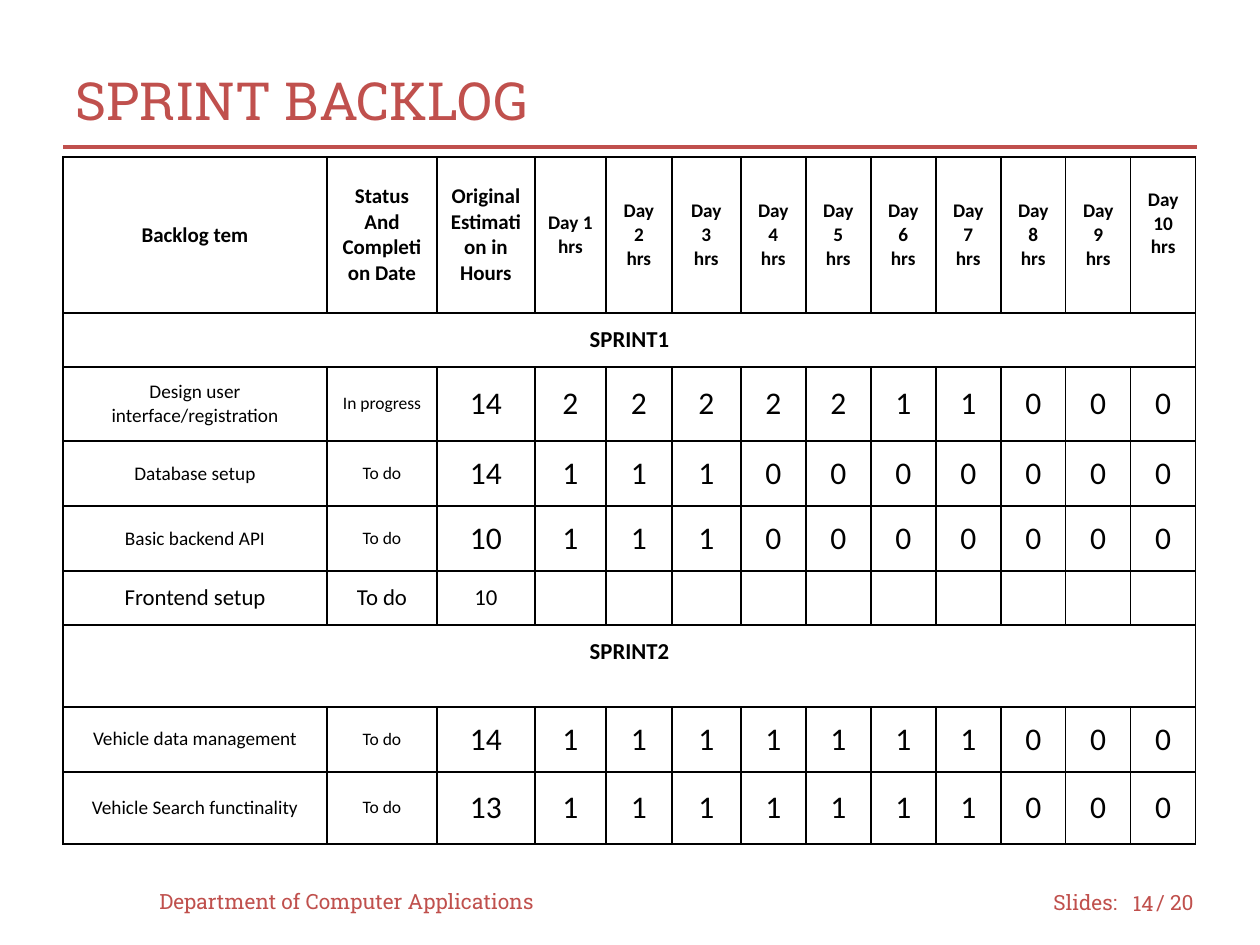
"""Build the sprint backlog slide."""
from dataclasses import dataclass

from lxml import etree
from pptx import Presentation
from pptx.dml.color import RGBColor
from pptx.enum.dml import MSO_LINE
from pptx.enum.shapes import MSO_CONNECTOR
from pptx.enum.text import MSO_ANCHOR, PP_ALIGN
from pptx.oxml.ns import qn
from pptx.slide import Slide
from pptx.table import _Cell
from pptx.text.text import TextFrame
from pptx.util import Emu, Pt

DASH = MSO_LINE.DASH
STRAIGHT = MSO_CONNECTOR.STRAIGHT
MIDDLE = MSO_ANCHOR.MIDDLE
LEFT, CENTER, RIGHT = PP_ALIGN.LEFT, PP_ALIGN.CENTER, PP_ALIGN.RIGHT

RED = RGBColor(0xC0, 0x50, 0x4D)
BLACK = RGBColor(0, 0, 0)
WHITE = RGBColor(0xFF, 0xFF, 0xFF)
HEADING_FONT, TABLE_FONT = "Roboto Slab", "Calibri"
EMU_PER_PX = 914400 / 126
CELL_MARGIN = 13

COLUMN_WIDTHS = [264, 110, 98, 71, 66, 69] + [65] * 7
DAY_COUNT = 10
SPLIT_DAYS = (3, 4, 5)


@dataclass(frozen=True)
class Style:
    """Size, weight, colour, font and alignment of a text."""

    size: int
    bold: bool = False
    color: RGBColor = BLACK
    font: str = TABLE_FONT
    align: PP_ALIGN = CENTER


@dataclass(frozen=True)
class Label:
    """A footer text and its place."""

    text: str
    left: int
    top: int
    width: int
    align: PP_ALIGN = LEFT


@dataclass(frozen=True)
class Sprint:
    """A full-width sprint heading row."""

    name: str
    height: int
    bottom_margin: int = CELL_MARGIN


@dataclass(frozen=True)
class Task:
    """A backlog item; sizes are for item, status and numbers."""

    item: str
    status: str
    estimate: int
    hours: str
    height: int
    sizes: tuple[int, int, int] = (11, 10, 18)


LABELS = [
    Label("Slides:", 1041, 877, 94),
    Label("/ 20", 1144, 877, 73),
    Label("Department of Computer Applications", 147, 876, 420),
    Label("14", 1113, 878, 53, RIGHT),
]
HEADER_HEIGHT = 156
HEADERS = ["Backlog tem", "Status And Completion Date", "Original Estimation in Hours"]
ROWS = [
    Sprint("SPRINT1", 54),
    Task("Design user interface/registration", "In progress", 14, "2222211000", 74),
    Task("Database setup", "To do", 14, "1110000000", 65),
    Task("Basic backend API", "To do", 10, "1110000000", 65),
    Task("Frontend setup", "To do", 10, "", 54, (13, 13, 13)),
    Sprint("SPRINT2", 82, 41),
    Task("Vehicle data management", "To do", 14, "1111111000", 65),
    Task("Vehicle Search functinality", "To do", 13, "1111111000", 72),
]


def px(length: int) -> Emu:
    """Turn pixels into EMU."""
    return Emu(round(length * EMU_PER_PX))


def write(frame: TextFrame, text: str, style: Style) -> None:
    """Write one paragraph per line of text."""
    for index, line in enumerate(text.split("\n")):
        para = frame.add_paragraph() if index else frame.paragraphs[0]
        para.alignment = style.align
        if not line:
            etree.SubElement(para._p, qn("a:endParaRPr"), sz=str(style.size * 100))
            continue
        span = para.add_run()
        span.text = line
        span.font.size = Pt(style.size)
        span.font.bold = style.bold
        span.font.name = style.font
        span.font.color.rgb = style.color


def add_rule(page: Slide, top: int, dash: MSO_LINE | None = None) -> None:
    """Draw a horizontal rule across the page."""
    rule = page.shapes.add_connector(STRAIGHT, px(63), px(top), px(1197), px(top))
    rule.line.color.rgb = RED
    rule.line.width = Pt(1.75)
    if dash is not None:
        rule.line.dash_style = dash
    etree.SubElement(rule._element.spPr, qn("a:effectLst"))


def add_label(page: Slide, label: Label) -> None:
    """Add a footer text box."""
    box = page.shapes.add_textbox(px(label.left), px(label.top), px(label.width), px(50))
    box.text_frame.word_wrap = True
    box.text_frame.vertical_anchor = MIDDLE
    write(box.text_frame, label.text, Style(12, False, RED, HEADING_FONT, label.align))


def format_cell(cell: _Cell) -> None:
    """Give a cell black borders, even margins and a white fill."""
    properties = cell._tc.get_or_add_tcPr()
    for side in ("lnL", "lnR", "lnT", "lnB"):
        border = etree.SubElement(properties, qn(f"a:{side}"), w=str(Pt(1)))
        fill = etree.SubElement(border, qn("a:solidFill"))
        etree.SubElement(fill, qn("a:srgbClr"), val=str(BLACK))
    cell.fill.solid()
    cell.fill.fore_color.rgb = WHITE
    cell.vertical_anchor = MIDDLE
    cell.margin_left = cell.margin_right = px(CELL_MARGIN)
    cell.margin_top = cell.margin_bottom = px(CELL_MARGIN)


def day_heading(day: int) -> str:
    """Return the heading of a day column."""
    gap = "\n" if day in SPLIT_DAYS else " "
    return f"Day{gap}{day}\nhrs"


def add_backlog(page: Slide) -> None:
    """Add the backlog table."""
    heights = [HEADER_HEIGHT] + [row.height for row in ROWS]
    frame = page.shapes.add_table(
        len(heights), len(COLUMN_WIDTHS), px(63), px(157),
        px(sum(COLUMN_WIDTHS)), px(sum(heights)),
    )
    table = frame.table
    table.first_row = table.horz_banding = False
    for column, width in zip(table.columns, COLUMN_WIDTHS):
        column.width = px(width)
    for table_row, height in zip(table.rows, heights):
        table_row.height = px(height)
    for cell in table.iter_cells():
        format_cell(cell)

    days = [day_heading(day + 1) for day in range(DAY_COUNT)]
    for column, text in enumerate(HEADERS + days):
        size = 12 if column < len(HEADERS) else 11
        write(table.cell(0, column).text_frame, text, Style(size, True))
    table.cell(0, len(COLUMN_WIDTHS) - 1).margin_bottom = px(36)

    for index, row in enumerate(ROWS, start=1):
        if isinstance(row, Sprint):
            heading = table.cell(index, 0)
            heading.merge(table.cell(index, len(COLUMN_WIDTHS) - 1))
            heading.margin_bottom = px(row.bottom_margin)
            write(heading.text_frame, row.name, Style(13, True))
            continue
        hours = list(row.hours) or [""] * DAY_COUNT
        values = [row.item, row.status, str(row.estimate), *hours]
        for column, text in enumerate(values):
            style = Style(row.sizes[min(column, 2)])
            write(table.cell(index, column).text_frame, text, style)


def main() -> None:
    """Build and save the deck."""
    deck = Presentation()
    deck.slide_width, deck.slide_height = px(1260), px(945)
    page = deck.slides.add_slide(deck.slide_layouts[5])
    title = page.shapes.title
    title.left, title.top, title.width, title.height = px(63), px(42), px(1134), px(116)
    title.text_frame.vertical_anchor = MIDDLE
    write(title.text_frame, "SPRINT BACKLOG", Style(30, False, RED, HEADING_FONT, LEFT))
    add_rule(page, 844, DASH)
    add_rule(page, 147)
    for label in LABELS:
        add_label(page, label)
    add_backlog(page)
    deck.save("out.pptx")


if __name__ == "__main__":
    main()
